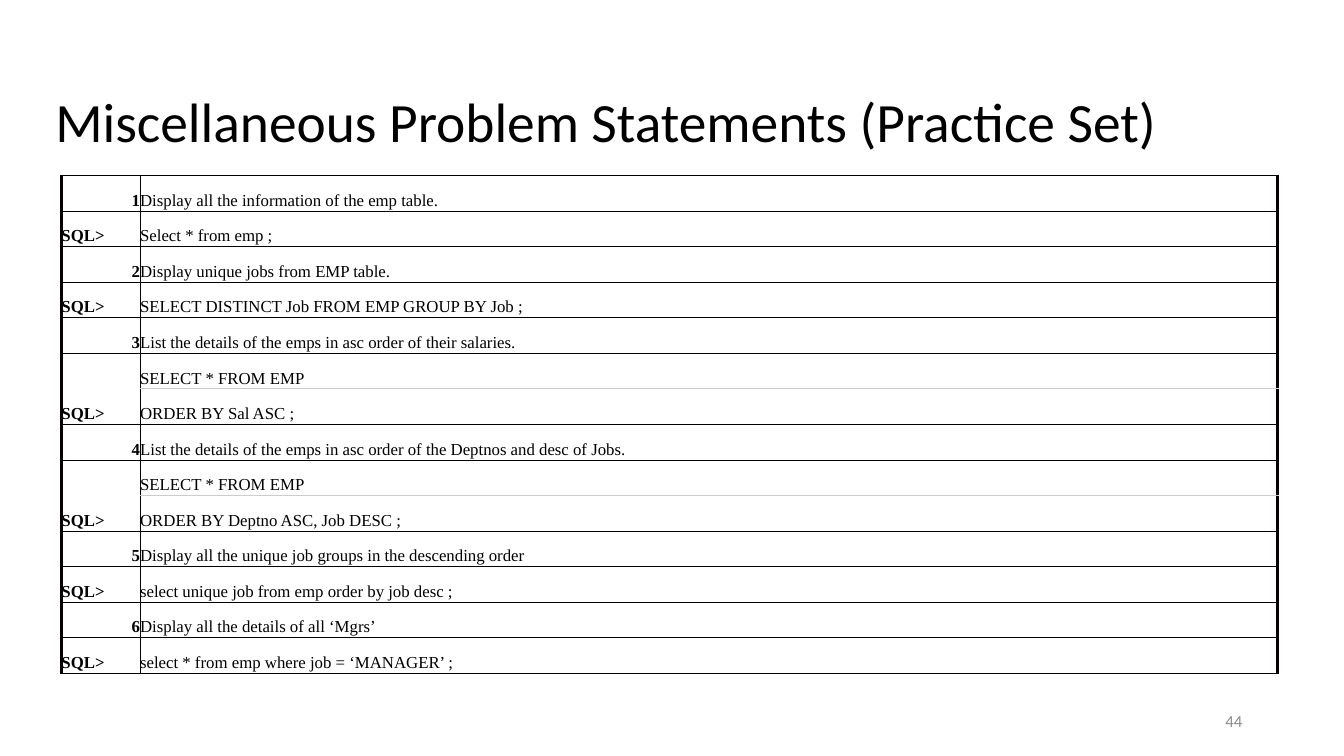
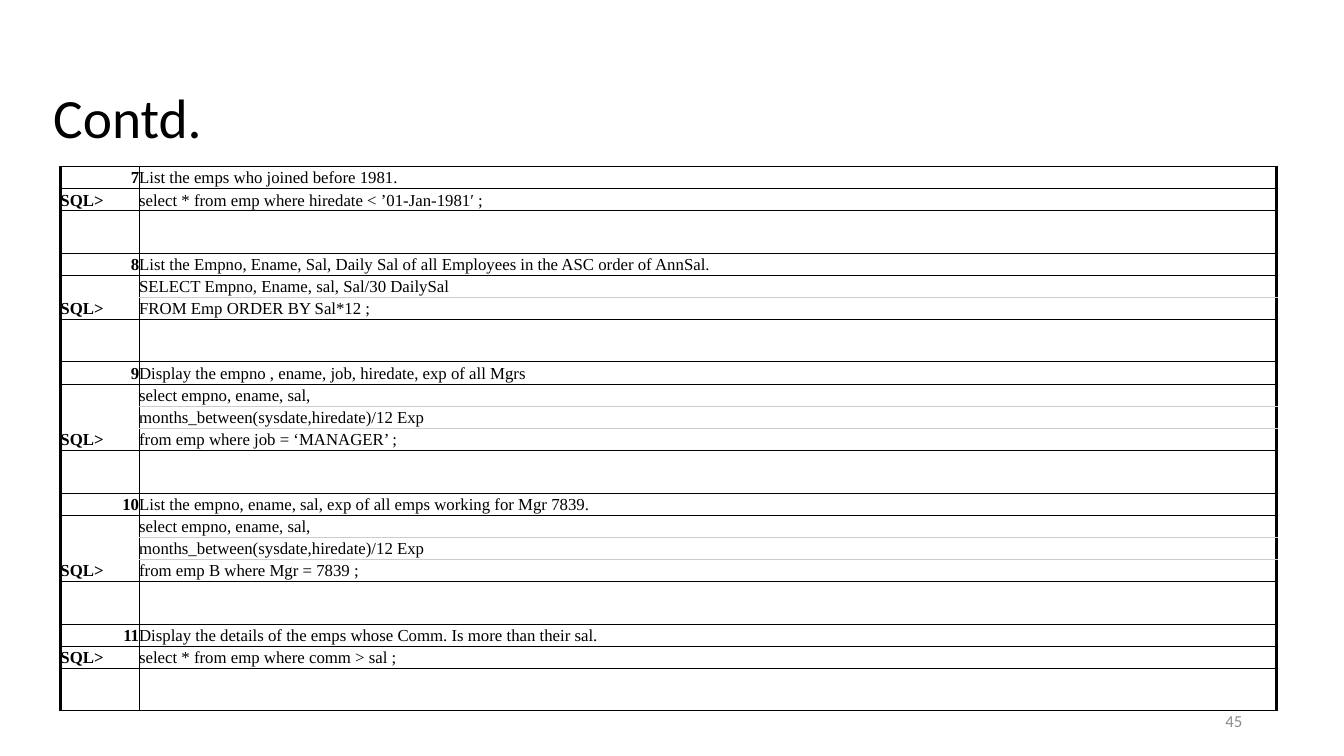
from lxml import etree
from pptx import Presentation
from pptx.dml.color import RGBColor
from pptx.enum.text import MSO_ANCHOR as Anchor, PP_ALIGN as Align
from pptx.oxml.ns import qn
from pptx.util import Inches, Pt

BLACK, EDGE, PALE, GREY = "000000", "080101", "CCCCCC", "8C8C8C"
TITLE_FONT, TABLE_FONT = "Calibri", "Times New Roman"
COLUMN_WIDTHS = (0.78, 11.28)
THIN, MEDIUM, THICK = 0.6, 1.2, 1.8

FIRST_SET = [
    ("1", "Display all the information of the emp table.", ["Select * from emp ;"]),
    ("2", "Display unique jobs from EMP table.", ["SELECT DISTINCT Job FROM EMP GROUP BY Job ;"]),
    ("3", "List the details of the emps in asc order of their salaries.",
     ["SELECT * FROM EMP", "ORDER BY Sal ASC ;"]),
    ("4", "List the details of the emps in asc order of the Deptnos and desc of Jobs.",
     ["SELECT * FROM EMP", "ORDER BY Deptno ASC, Job DESC ;"]),
    ("5", "Display all the unique job groups in the descending order",
     ["select unique job from emp order by job desc ;"]),
    ("6", "Display all the details of all ‘Mgrs’", ["select * from emp where job = ‘MANAGER’ ;"]),
]
SECOND_SET = [
    ("7", "List the emps who joined before 1981.",
     ["select * from emp where hiredate < ’01-Jan-1981′ ;"]),
    ("8", "List the Empno, Ename, Sal, Daily Sal of all Employees in the ASC order of AnnSal.",
     ["SELECT Empno, Ename, sal, Sal/30 DailySal", "FROM Emp ORDER BY Sal*12 ;"]),
    ("9", "Display the empno , ename, job, hiredate, exp of all Mgrs",
     ["select empno, ename, sal,", "months_between(sysdate,hiredate)/12 Exp",
      "from emp where job = ‘MANAGER’ ;"]),
    ("10", "List the empno, ename, sal, exp of all emps working for Mgr 7839.",
     ["select empno, ename, sal,", "months_between(sysdate,hiredate)/12 Exp",
      "from emp B where Mgr = 7839 ;"]),
    ("11", "Display the details of the emps whose Comm. Is more than their sal.",
     ["select * from emp where comm > sal ;"]),
]


def style_paragraph(paragraph, font, size, color, bold=False, align=Align.LEFT):
    """Set the alignment and font of a paragraph."""
    paragraph.alignment = align
    paragraph.font.name = font
    paragraph.font.size = Pt(size)
    paragraph.font.bold = bold
    paragraph.font.color.rgb = RGBColor.from_string(color)


def add_text(slide, box, text, size, color, align=Align.LEFT, spacing=1.0):
    """Add one vertically centred line of text in a box."""
    shape = slide.shapes.add_textbox(*map(Inches, box))
    frame = shape.text_frame
    frame.word_wrap = True
    frame.vertical_anchor = Anchor.MIDDLE
    paragraph = frame.paragraphs[0]
    paragraph.text = text
    paragraph.line_spacing = spacing
    style_paragraph(paragraph, TITLE_FONT, size, color, align=align)


def set_borders(cell, **borders):
    """Draw cell borders, each given as a colour and a width."""
    properties = cell._tc.get_or_add_tcPr()
    for side in "LRTB":
        color, width = borders[side]
        line = etree.SubElement(properties, qn(f"a:ln{side}"), w=str(Pt(width)))
        fill = etree.SubElement(line, qn("a:solidFill"))
        etree.SubElement(fill, qn("a:srgbClr"), val=color)


def fill_cell(cell, text, bold, align):
    """Write bottom-anchored text in an unfilled cell."""
    cell.fill.background()
    cell.margin_left = cell.margin_right = 0
    cell.margin_top = cell.margin_bottom = Inches(0.01)
    cell.vertical_anchor = Anchor.BOTTOM
    paragraph = cell.text_frame.paragraphs[0]
    paragraph.text = text
    style_paragraph(paragraph, TABLE_FONT, 12, BLACK, bold, align)


def list_rows(problems, row_height, gap_height):
    """Return key, text, joined-above, joined-below and height of every row."""
    rows = []
    for number, question, lines in problems:
        rows.append((number, question, False, False, row_height))
        last = len(lines) - 1
        for index, line in enumerate(lines):
            key = "" if index else "SQL>"
            rows.append((key, line, index > 0, index < last, row_height))
        if gap_height:
            rows.append(("", "", False, False, gap_height))
    return rows


def add_problem_table(slide, left, top, rows, top_width):
    """Add the table of problems and their SQL answers."""
    height = sum(row[-1] for row in rows)
    frame = slide.shapes.add_table(len(rows), 2, Inches(left), Inches(top),
                                   Inches(sum(COLUMN_WIDTHS)), Inches(height))
    table = frame.table
    table.first_row = table.horz_banding = False
    for column, width in zip(table.columns, COLUMN_WIDTHS):
        column.width = Inches(width)
    thin, edge, pale = (BLACK, THIN), (EDGE, THICK), (PALE, THIN)
    start = 0
    for index, (key, text, above, below, row_height) in enumerate(rows):
        table.rows[index].height = Inches(row_height)
        key_cell, text_cell = table.cell(index, 0), table.cell(index, 1)
        upper = thin if index else (BLACK, top_width)
        set_borders(key_cell, L=edge, R=thin, T=upper, B=thin)
        set_borders(text_cell, L=thin, R=edge, T=pale if above else upper,
                    B=pale if below else thin)
        fill_cell(key_cell, key, True, Align.RIGHT if key.isdigit() else Align.LEFT)
        fill_cell(text_cell, text, False, Align.LEFT)
        if not above:
            start = index
        elif not below:
            table.cell(start, 0).merge(key_cell)


def add_problem_slide(presentation, title, title_at, table_at, rows, top_width, number):
    """Add a slide with a title, a problem table and a page number."""
    slide = presentation.slides.add_slide(presentation.slide_layouts[6])
    add_text(slide, (*title_at, 11.5, 0.69), title, 39.6, BLACK, spacing=0.9)
    add_problem_table(slide, *table_at, rows, top_width)
    add_text(slide, (9.42, 6.95, 3, 0.4), number, 12, GREY, Align.RIGHT)


def main():
    """Build and save the presentation."""
    presentation = Presentation()
    presentation.slide_width, presentation.slide_height = Inches(13.33), Inches(7.5)
    add_problem_slide(presentation, "Miscellaneous Problem Statements (Practice Set)",
                      (0.45, 0.89), (0.61, 1.74),
                      list_rows(FIRST_SET, 4.94 / 14, 0), MEDIUM, "44")
    add_problem_slide(presentation, "Contd.", (0.43, 0.85), (0.6, 1.65),
                      list_rows(SECOND_SET, 0.2, 0.42), THIN, "45")
    presentation.save("out.pptx")


if __name__ == "__main__":
    main()
